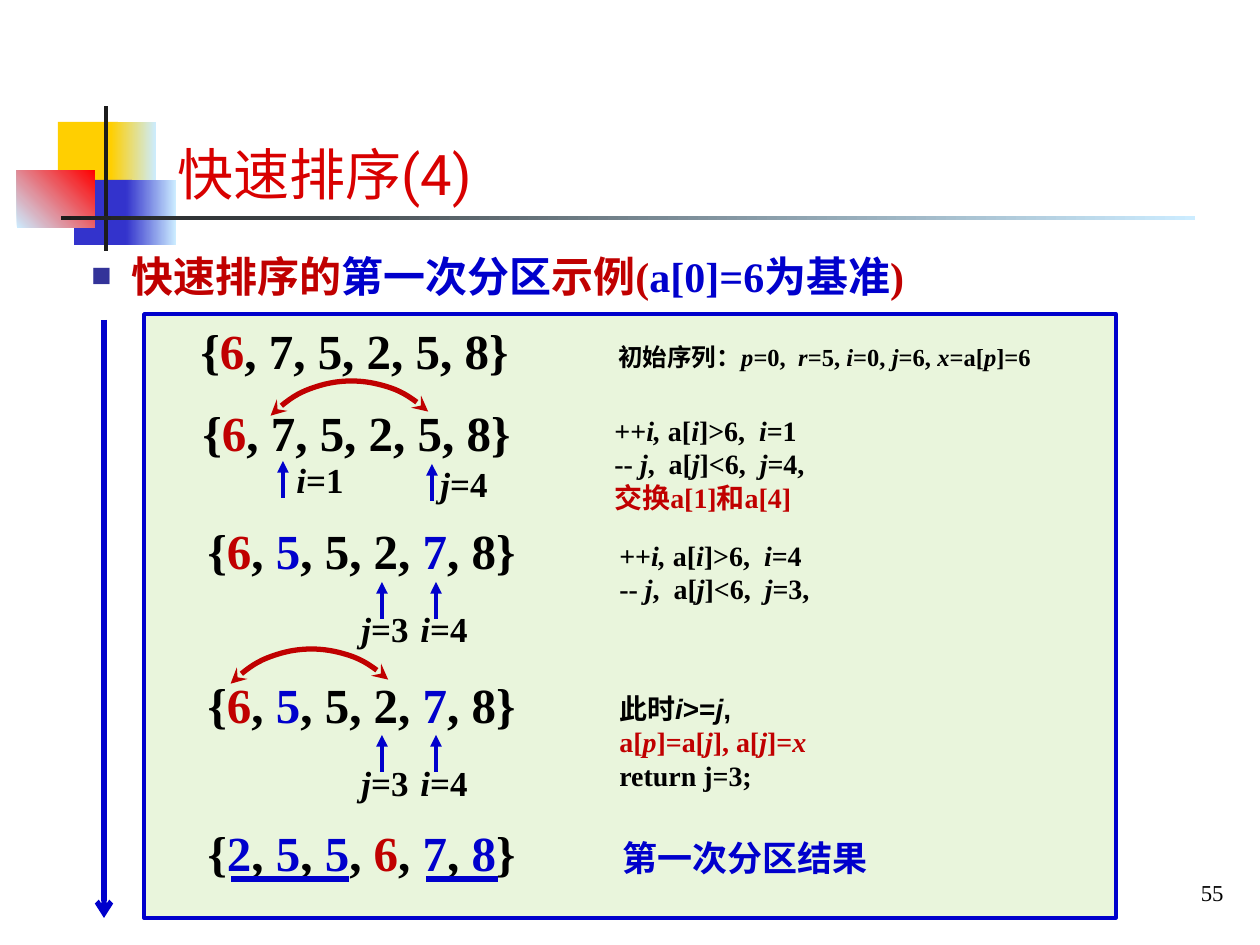
"""Build the quicksort slide on the first partition step by step."""
from lxml.etree import SubElement
from pptx import Presentation
from pptx.dml.color import RGBColor
from pptx.enum.shapes import MSO_CONNECTOR, MSO_SHAPE
from pptx.enum.text import MSO_ANCHOR, MSO_AUTO_SIZE, PP_ALIGN
from pptx.oxml.ns import qn
from pptx.util import Pt

SCALE = 914400 / 126
HUES = {
    "black": "000000", "red": "C00000", "blue": "0000CC", "title": "D80000",
    "bullet": "333399", "gold": "FFCF01", "navy": "3333CC", "sky": "CCECFF",
    "flame": "FF0000", "ink": "1C1C1C", "green": "92D050",
}
TIMES = "Times New Roman"
STYLES = {
    "k": {"name": TIMES, "color": "black", "bold": True},
    "r": {"name": TIMES, "color": "red", "bold": True},
    "b": {"name": TIMES, "color": "blue", "bold": True},
    "a": {"name": "Arial", "color": "black", "bold": True},
    "t": {"name": "Roboto", "color": "title", "bold": False},
    "n": {"name": TIMES, "color": "black", "bold": False},
}
LEFT, MID, RIGHT = PP_ALIGN.LEFT, PP_ALIGN.CENTER, PP_ALIGN.RIGHT

DECOR = [
    ((58, 122, 60, 66), ["gold"], 0),
    ((111, 122, 45, 66), ["gold", "sky"], 0),
    ((74, 180, 58, 65), ["navy"], 0),
    ((126, 180, 50, 65), ["navy", "sky"], 0),
    ((17, 170, 78, 58), ["sky", "flame"], 45),
    ((104, 106, 4, 145), ["ink"], 0),
    ((61, 216, 1134, 4), ["ink", "sky"], 0),
]
PANEL = (144, 314, 972, 604)
TITLE = [[("t", "快速排序(4)")]]
HEAD = [[("r", "快速排序的"), ("b", "第一次分区"), ("r", "示例("),
         ("b", "a[0]=6为基准"), ("r", ")")]]
PAGE = [[("n", "55")]]

START = [("k", "{"), ("r", "6"), ("k", ", 7, 5, 2, 5, 8}")]
SWAP = [("k", "{"), ("r", "6"), ("k", ", "), ("b", "5"), ("k", ", 5, 2, "),
        ("b", "7"), ("k", ", 8}")]
DONE = [("k", "{"), ("b", "2"), ("k", ", "), ("b", "5"), ("k", ", "),
        ("b", "5"), ("k", ", "), ("r", "6"), ("k", ", "), ("b", "7"),
        ("k", ", "), ("b", "8"), ("k", "}")]
ROWS = [(188, 314, START), (190, 396, START), (195, 514, SWAP),
        (195, 668, SWAP), (195, 816, DONE)]

NOTES = [
    ((606, 336, 444, 43), 14, [
        [("k", "初始序列：_p_=0,  _r_=5, _i_=0, _j_=6, _x_=a[_p_]=6")]]),
    ((602, 407, 222, 113), 16, [
        [("k", "++_i, _a[_i_]>6,  _i_=1")],
        [("k", "-- _j_,  a[_j_]<6,  _j_=4,")],
        [("r", "交换a[1]和a[4]")]]),
    ((607, 532, 222, 81), 16, [
        [("k", "++_i, _a[_i_]>6,  _i_=4")],
        [("k", "-- _j_,  a[_j_]<6,  _j_=3,")]]),
    ((607, 685, 212, 113), 16, [
        [("a", "此时_i_>=_j_,")],
        [("r", "a[_p_]=a[_j_], a[_j_]=_x_")],
        [("k", "return j=3;")]]),
    ((610, 830, 289, 55), 20, [[("b", "第一次分区结果")]]),
]
MARKS = [
    ("_i_=1", 283, 461, 284, 452), ("_j_=4", 432, 464, 428, 456),
    ("_j_=3", 382, 582, 349, 601), ("_i_=4", 436, 582, 408, 601),
    ("_j_=3", 382, 735, 349, 755), ("_i_=4", 436, 735, 408, 755),
]
ARCS = [(240, 381), (200, 649)]
BARS = [(231, 349), (426, 498)]


def emu(*nums):
    return [round(num * SCALE) for num in nums]


def tint(name):
    return RGBColor.from_string(HUES[name])


def edge(shape, hue, width, **ends):
    shape.line.color.rgb = tint(hue)
    shape.line.width = Pt(width)
    line = shape._element.spPr.find(qn("a:ln"))
    for end, kind in ends.items():
        SubElement(line, qn(f"a:{end}"), type=kind)


def block(slide, kind, spot):
    shape = slide.shapes.add_shape(kind, *emu(*spot))
    shape.shadow.inherit = False
    return shape


def decor(slide, spot, hues, angle):
    shape = block(slide, MSO_SHAPE.RECTANGLE, spot)
    shape.line.fill.background()
    if len(hues) == 1:
        shape.fill.solid()
        shape.fill.fore_color.rgb = tint(hues[0])
        return
    shape.fill.gradient()
    shape.fill.gradient_angle = angle
    for stop, hue in zip(shape.fill.gradient_stops, hues):
        stop.color.rgb = tint(hue)


def stroke(slide, start, stop, width, **ends):
    line = slide.shapes.add_connector(
        MSO_CONNECTOR.STRAIGHT, *emu(*start, *stop))
    edge(line, "blue", width, **ends)
    SubElement(line._element.spPr, qn("a:effectLst"))


def bullet(para):
    props = para._p.get_or_add_pPr()
    indent = emu(40)[0]
    props.set("marL", str(indent))
    props.set("indent", str(-indent))
    color = SubElement(props, qn("a:buClr"))
    SubElement(color, qn("a:srgbClr"), val=HUES["bullet"])
    SubElement(props, qn("a:buSzPct"), val="80000")
    SubElement(props, qn("a:buFont"), typeface="Arial")
    SubElement(props, qn("a:buChar"), char="■")


def write(slide, spot, size, paras, align=LEFT, anchor=MSO_ANCHOR.TOP,
          wrap=False, mark=False):
    frame = slide.shapes.add_textbox(*emu(*spot)).text_frame
    frame.word_wrap = wrap
    frame.vertical_anchor = anchor
    if anchor == MSO_ANCHOR.TOP:
        frame.auto_size = MSO_AUTO_SIZE.SHAPE_TO_FIT_TEXT
    if align == MID:
        frame.margin_left = frame.margin_right = 0
    for num, parts in enumerate(paras):
        para = frame.add_paragraph() if num else frame.paragraphs[0]
        para.alignment = align
        if mark:
            bullet(para)
        for style, text in parts:
            for turn, piece in enumerate(text.split("_")):
                if not piece:
                    continue
                run = para.add_run()
                run.text = piece
                looks = {**STYLES[style], "size": Pt(size),
                         "italic": turn % 2 == 1}
                run.font.color.rgb = tint(looks.pop("color"))
                for key, val in looks.items():
                    setattr(run.font, key, val)


def main():
    deck = Presentation()
    deck.slide_width, deck.slide_height = emu(1260, 945)
    slide = deck.slides.add_slide(deck.slide_layouts[6])
    for item in DECOR:
        decor(slide, *item)

    panel = block(slide, MSO_SHAPE.RECTANGLE, PANEL)
    panel.fill.solid()
    panel.fill.fore_color.rgb = tint("green")
    color = panel._element.spPr.find(qn("a:solidFill"))[0]
    SubElement(color, qn("a:alpha"), val="20000")
    edge(panel, "blue", 2)

    write(slide, (995, 869, 241, 47), 13, PAGE, RIGHT, MSO_ANCHOR.MIDDLE)
    write(slide, (165, 76, 1061, 137), 32, TITLE,
          anchor=MSO_ANCHOR.BOTTOM, wrap=True)
    write(slide, (79, 244, 1166, 63), 24, HEAD, wrap=True, mark=True)
    stroke(slide, (104, 320), (104, 918), 3, tailEnd="arrow")

    for left, top, parts in ROWS:
        write(slide, (left, top, 333, 72), 28, [parts], MID)
    for spot, size, paras in NOTES:
        write(slide, spot, size, paras)
    for text, mid, tip, left, top in MARKS:
        stroke(slide, (mid, tip + 37), (mid, tip), 2.25, tailEnd="triangle")
        write(slide, (left, top, 72, 55), 20, [[("k", text)]], MID)
    for left, top in ARCS:
        arc = block(slide, MSO_SHAPE.ARC, (left, top, 223, 223))
        arc.rotation = 313.5
        arc.fill.background()
        edge(arc, "red", 3, headEnd="stealth", tailEnd="stealth")
    for start, stop in BARS:
        stroke(slide, (start, 879), (stop, 879), 3)
    deck.save("out.pptx")


if __name__ == "__main__":
    main()
